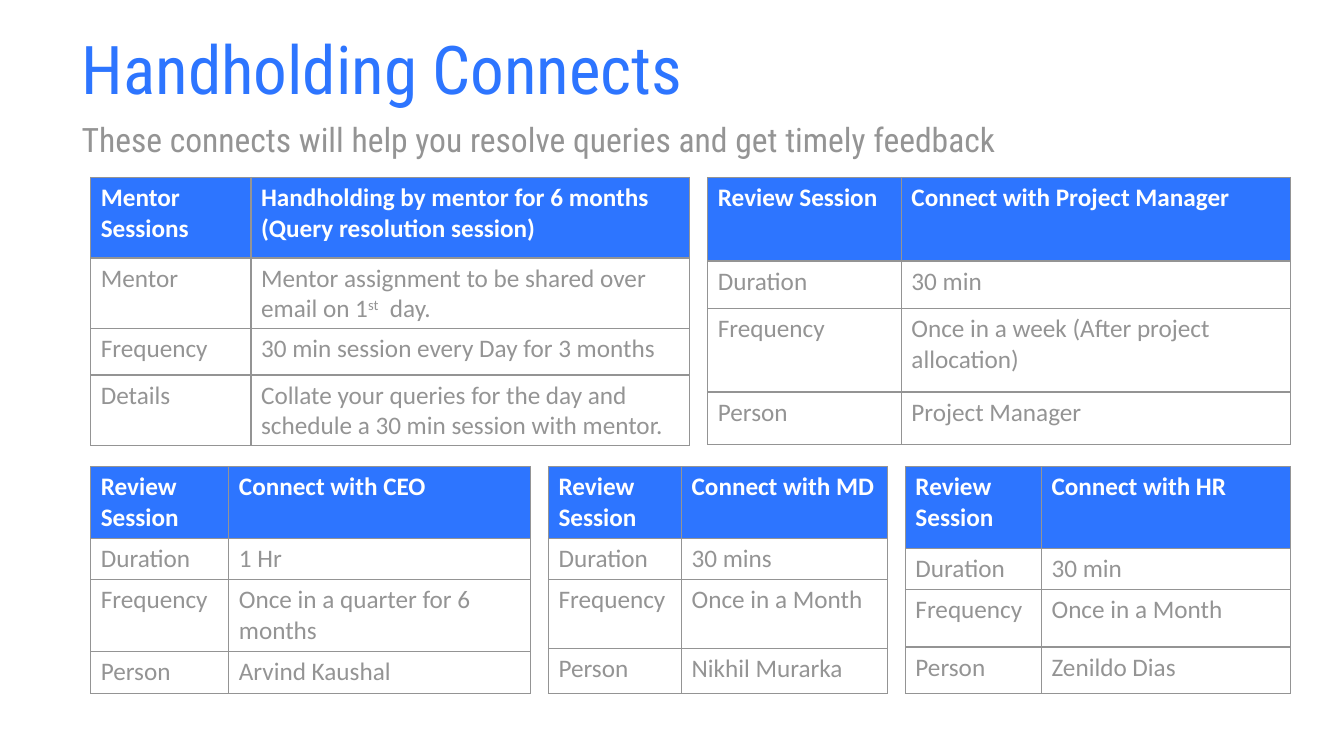
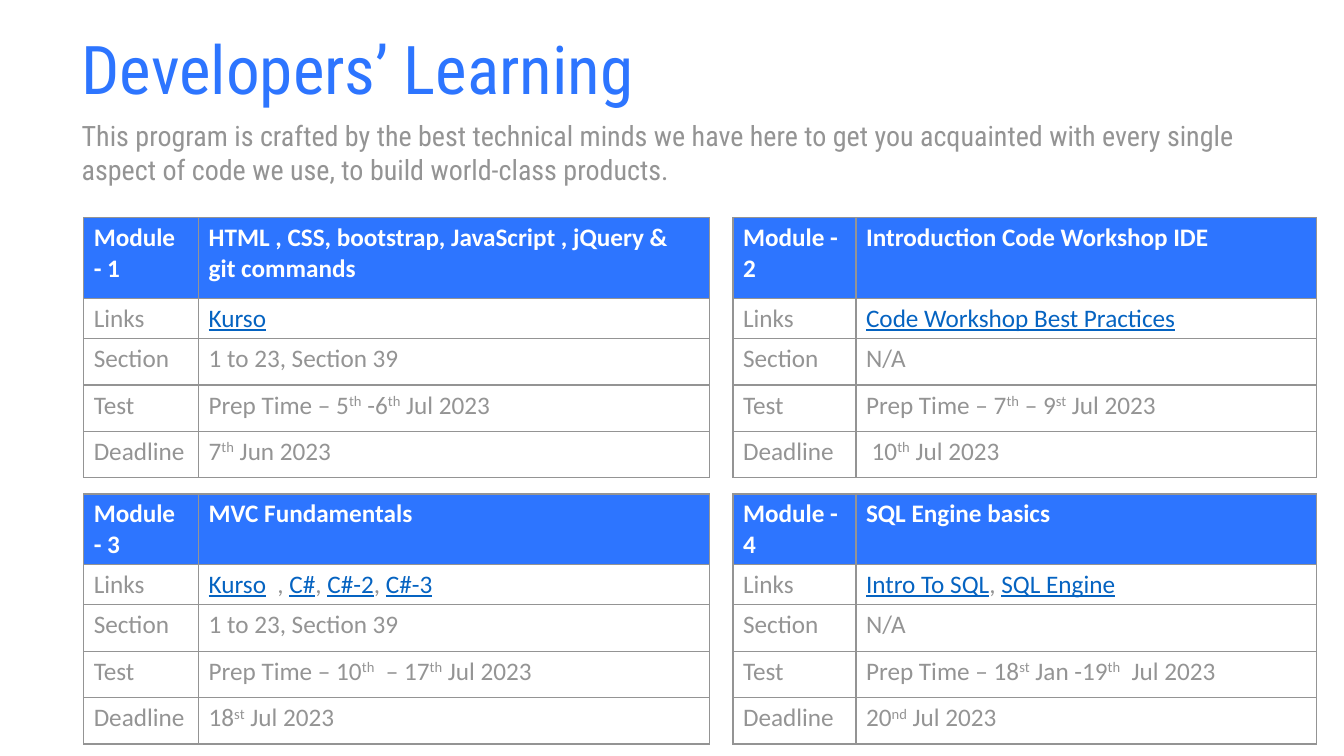
from dataclasses import dataclass
from itertools import product

from lxml.etree import SubElement
from pptx import Presentation
from pptx.dml.color import RGBColor
from pptx.enum.text import MSO_ANCHOR, MSO_AUTO_SIZE, PP_ALIGN
from pptx.oxml import parse_xml
from pptx.oxml.ns import nsdecls, qn
from pptx.slide import Slide
from pptx.table import _Cell
from pptx.text.text import Font, _Paragraph
from pptx.util import Inches, Pt


# Theme: colours, type and placeholder places
@dataclass(frozen=True)
class Theme:
    blue: str = "2D75FF"
    grey: str = "949494"
    white: str = "FFFFFF"
    link: str = "0563C1"
    head: str = "Roboto Condensed"
    text: str = "Calibri"
    big: int = 48
    cell: int = 18
    left: float = 0.71
    width: float = 12.34


THEME = Theme()


# Content records
@dataclass(frozen=True)
class Grid:
    """A two-column table; ~links~ and ^raised^ text are marked inline."""
    cols: tuple[float, float]
    rows: tuple[float, ...]
    cells: tuple[tuple[str, str], ...]


@dataclass(frozen=True)
class Band:
    """Tables that stand side by side."""
    top: float
    left: float
    gap: float
    grids: tuple[Grid, ...]


@dataclass(frozen=True)
class Page:
    title: str
    lead: str
    size: int
    depth: float
    bands: tuple[Band, ...]


def review(who: str, cols: tuple[float, float], rows: tuple[float, ...],
           time: str, often: str, person: str) -> Grid:
    return Grid(cols, rows, (
        ("Review Session", f"Connect with {who}"), ("Duration", time),
        ("Frequency", often), ("Person", person)))


def module(num: int, name: str, cols: tuple[float, float], head: float,
           links: str, part: str, test: str, due: str) -> Grid:
    return Grid(cols, (head, 0.4, 0.46, 0.46, 0.46), (
        (f"Module - {num}", name), ("Links", links), ("Section", part),
        ("Test", f"Prep Time – {test}"), ("Deadline", due)))


MENTOR = Grid((1.59, 4.35), (0.8, 0.7, 0.46, 0.7), (
    ("Mentor Sessions",
     "Handholding by mentor for 6 months\n(Query resolution session)"),
    ("Mentor", "Mentor assignment to be shared over email on 1^st^  day."),
    ("Frequency", "30 min session every Day for 3 months"),
    ("Details", "Collate your queries for the day and schedule "
                "a 30 min session with mentor.")))

WIDE, SLIM = (1.14, 5.07), (1.22, 4.57)

PAGES = (
    Page("Handholding Connects",
         "These connects will help you resolve queries and get timely feedback",
         24, 0.5, (
             Band(1.76, 0.9, 0.18, (
                 MENTOR,
                 review("Project Manager", (1.92, 3.86),
                        (0.83, 0.47, 0.83, 0.52), "30 min",
                        "Once in a week (After project allocation)",
                        "Project Manager"))),
             Band(4.63, 0.9, 0.18, (
                 review("CEO", (1.37, 2.99), (0.71, 0.41, 0.71, 0.42),
                        "1 Hr", "Once in a quarter for 6 months",
                        "Arvind Kaushal"),
                 review("MD", (1.32, 2.04), (0.71, 0.41, 0.68, 0.45),
                        "30 mins", "Once in a Month", "Nikhil Murarka"),
                 review("HR", (1.35, 2.47), (0.81, 0.41, 0.57, 0.46),
                        "30 min", "Once in a Month", "Zenildo Dias"))))),
    Page("Developers’ Learning",
         "This program is crafted by the best technical minds we have here to "
         "get you acquainted with every single aspect of code we use, to build "
         "world-class products.",
         20, 0.77, (
             Band(2.16, 0.83, 0.23, (
                 module(1, "HTML , CSS, bootstrap, JavaScript , jQuery & "
                        "git commands", WIDE, 0.8, "~Kurso~",
                        "1 to 23, Section 39", "5^th^ -6^th^ Jul 2023",
                        "7^th^ Jun 2023"),
                 module(2, "Introduction Code Workshop IDE", SLIM, 0.8,
                        "~Code Workshop Best Practices~", "N/A",
                        "7^th^ – 9^st^ Jul 2023", " 10^th^ Jul 2023"))),
             Band(4.9, 0.83, 0.23, (
                 module(3, "MVC Fundamentals", WIDE, 0.7,
                        "~Kurso~  , ~C#~, ~C#-2~, ~C#-3~",
                        "1 to 23, Section 39", "10^th^  – 17^th^ Jul 2023",
                        "18^st^ Jul 2023"),
                 module(4, "SQL Engine basics", SLIM, 0.7,
                        "~Intro To SQL~, ~SQL Engine~", "N/A",
                        "18^st^ Jan -19^th^  Jul 2023",
                        "20^nd^ Jul 2023"))))),
)


# Text
def style(font: Font, color: str, **form: object) -> None:
    for key, value in form.items():
        setattr(font, key, value)
    font.color.rgb = RGBColor.from_string(color)


def write(para: _Paragraph, text: str, color: str, bold: bool) -> None:
    for row, line in enumerate(text.split("\n")):
        if row:
            para.add_line_break()
        for i, part in enumerate(line.split("~")):
            link = i % 2 == 1
            for j, bit in enumerate(part.split("^")):
                if not bit:
                    continue
                run = para.add_run()
                run.text = bit
                style(run.font, THEME.link if link else color, name=THEME.text,
                      size=Pt(THEME.cell), bold=bold, underline=link)
                if j % 2:
                    run.font._element.set("baseline", "30000")


def place(slide: Slide, idx: int, text: str, top: float, depth: float,
          size: int, color: str) -> None:
    """Move and format the title or body placeholder."""
    box = slide.placeholders[idx]
    spot = {"left": THEME.left, "top": top, "width": THEME.width,
            "height": depth}
    for key, value in spot.items():
        setattr(box, key, Inches(value))
    frame = box.text_frame
    frame.text = text
    form = {"word_wrap": True, "vertical_anchor": MSO_ANCHOR.TOP,
            "auto_size": MSO_AUTO_SIZE.SHAPE_TO_FIT_TEXT}
    for key, value in form.items():
        setattr(frame, key, value)
    para = frame.paragraphs[0]
    para.alignment = PP_ALIGN.LEFT
    para.space_before = Pt(0)
    props = para._p.get_or_add_pPr()
    props.set("marL", "0")
    props.set("indent", "0")
    SubElement(props, qn("a:buNone"))
    style(para.runs[0].font, color, name=THEME.head, size=Pt(size))


# Tables
def edge(cell: _Cell) -> None:
    props = cell._tc.get_or_add_tcPr()
    for i, side in enumerate("LRTB"):
        props.insert(i, parse_xml(
            f'<a:ln{side} {nsdecls("a")} w="{Pt(1)}"><a:solidFill>'
            f'<a:srgbClr val="{THEME.grey}"/></a:solidFill></a:ln{side}>'))


def draw(slide: Slide, grid: Grid, left: float, top: float) -> None:
    table = slide.shapes.add_table(
        len(grid.rows), len(grid.cols), Inches(left), Inches(top),
        Inches(sum(grid.cols)), Inches(sum(grid.rows))).table
    table.horz_banding = False
    for col, width in zip(table.columns, grid.cols):
        col.width = Inches(width)
    for row, depth in zip(table.rows, grid.rows):
        row.height = Inches(depth)
    for r, c in product(range(len(grid.rows)), range(len(grid.cols))):
        cell, head = table.cell(r, c), r == 0
        cell.fill.solid()
        cell.fill.fore_color.rgb = RGBColor.from_string(
            THEME.blue if head else THEME.white)
        edge(cell)
        write(cell.text_frame.paragraphs[0], grid.cells[r][c],
              THEME.white if head else THEME.grey, head)


# Slides
def build(deck: Presentation, page: Page) -> None:
    slide = deck.slides.add_slide(deck.slide_layouts[1])
    place(slide, 0, page.title, 0.22, 0.91, THEME.big, THEME.blue)
    place(slide, 1, page.lead, 1.13, page.depth, page.size, THEME.grey)
    for band in page.bands:
        left = band.left
        for grid in band.grids:
            draw(slide, grid, left, band.top)
            left += sum(grid.cols) + band.gap


def main() -> None:
    deck = Presentation()
    deck.slide_width, deck.slide_height = Inches(13.33), Inches(7.5)
    for page in PAGES:
        build(deck, page)
    deck.save("out.pptx")


if __name__ == "__main__":
    main()
